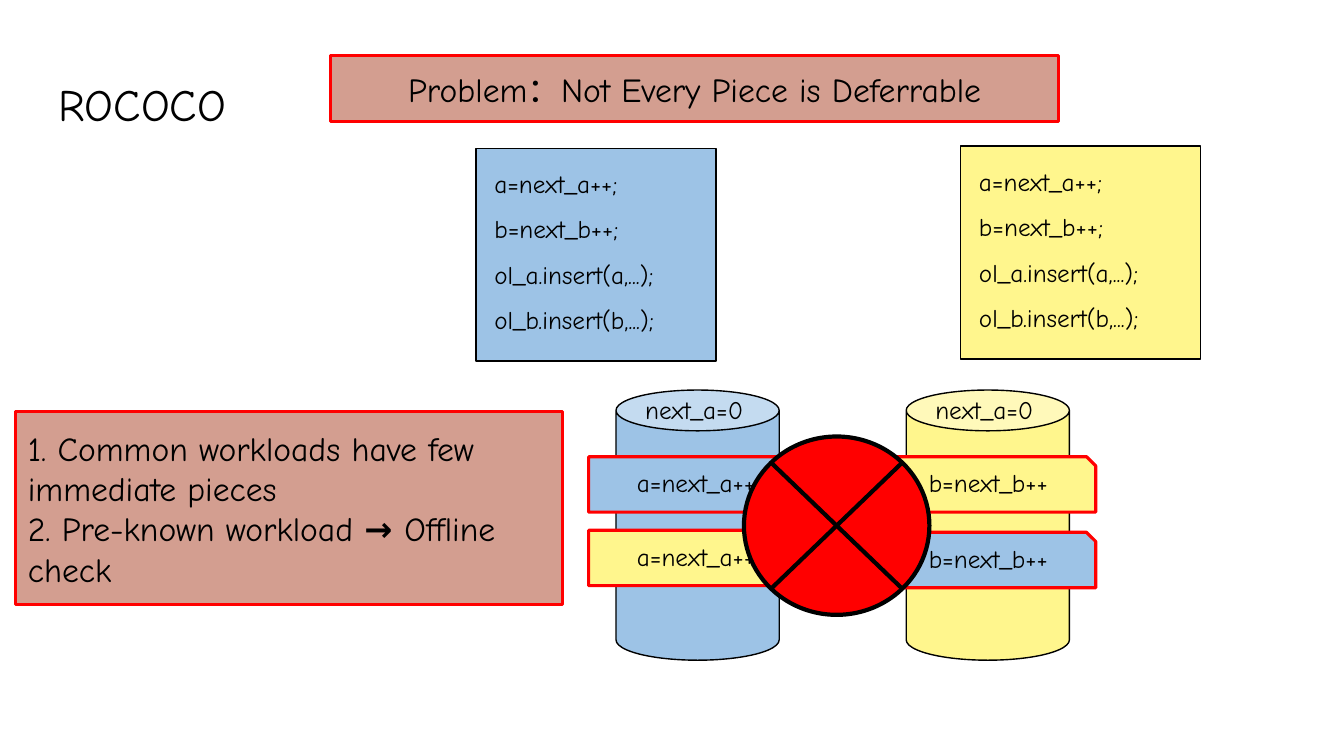
from pptx import Presentation
from pptx.dml.color import RGBColor
from pptx.enum.shapes import MSO_SHAPE
from pptx.enum.text import MSO_ANCHOR, MSO_AUTO_SIZE, PP_ALIGN
from pptx.util import Pt

RECT, CAN = MSO_SHAPE.RECTANGLE, MSO_SHAPE.CAN
SNIP = MSO_SHAPE.SNIP_1_RECTANGLE
JUNCTION = MSO_SHAPE.FLOWCHART_SUMMING_JUNCTION
TOP, MIDDLE = MSO_ANCHOR.TOP, MSO_ANCHOR.MIDDLE
LEFT, CENTER = PP_ALIGN.LEFT, PP_ALIGN.CENTER
GROW = MSO_AUTO_SIZE.SHAPE_TO_FIT_TEXT

FONT = "Comic Neue"
COLORS = {"blue": "9DC3E6", "yellow": "FFF68D", "red": "FF0000",
          "clay": "D39E90", "black": "000000"}
WIDE_INSET = 9.14
LABEL_HEIGHT = 28.8
CODE = ["a=next_a++;", "b=next_b++;", "ol_a.insert(a,...);", "ol_b.insert(b,...);"]


def color(name):
    return RGBColor.from_string(COLORS[name])


def write(shape, paragraphs, size=18, align=LEFT, anchor=TOP, spacing=None, inset=None):
    """Fill a shape with paragraphs; each is a string or a list of (text, bold)."""
    frame = shape.text_frame
    frame.word_wrap = True
    frame.vertical_anchor = anchor
    if inset is not None:
        frame.margin_left = frame.margin_right = Pt(inset)
        frame.margin_top = frame.margin_bottom = Pt(inset)
    for index, content in enumerate(paragraphs):
        para = frame.paragraphs[0] if index == 0 else frame.add_paragraph()
        para.alignment = align
        if spacing:
            para.line_spacing = spacing
        spans = [(content, False)] if isinstance(content, str) else content
        for text, bold in spans:
            span = para.add_run()
            span.text = text
            span.font.name, span.font.size, span.font.bold = FONT, Pt(size), bold
            span.font.color.rgb = color("black")


def add_block(shapes, kind, box, fill, line="black", width=1):
    shape = shapes.add_shape(kind, *map(Pt, box))
    shape.shadow.inherit = False
    shape.fill.solid()
    shape.fill.fore_color.rgb = color(fill)
    shape.line.color.rgb = color(line)
    shape.line.width = Pt(width)
    return shape


def add_label(shapes, box, paragraphs, **text_format):
    label = shapes.add_textbox(*map(Pt, box))
    write(label, paragraphs, **text_format)
    return label


def add_code_card(page, box, fill):
    left, top, width, height = box
    parts = page.shapes.add_group_shape().shapes
    add_block(parts, RECT, box, fill)
    label = add_label(parts, (left + 6, top, width - 12, height - 14), CODE, spacing=1.5)
    label.text_frame.auto_size = GROW


def add_store(page, box, fill):
    left, top, width, height = box
    parts = page.shapes.add_group_shape().shapes
    add_block(parts, CAN, box, fill)
    label = add_label(parts, (left + 13.7, top - 0.7, 100, LABEL_HEIGHT), ["next_a=0"])
    label.text_frame.auto_size = GROW


def add_piece(page, box, fill, text):
    left, top, width, height = box
    parts = page.shapes.add_group_shape().shapes
    add_block(parts, SNIP, box, fill, "red", 2.25)
    label = add_label(parts, (left, top + 4.3, width, LABEL_HEIGHT), [text], align=CENTER)
    label.text_frame.auto_size = GROW


def add_callout(page, box, paragraphs, align=LEFT):
    shape = add_block(page.shapes, RECT, box, "clay", "red", 2.25)
    write(shape, paragraphs, size=24, align=align, anchor=MIDDLE, inset=WIDE_INSET)


def build_slide(deck):
    page = deck.slides.add_slide(deck.slide_layouts[6])

    # Title
    add_label(page.shapes, (32.4, 46.1, 169.2, 60.5), ["ROCOCO"], size=32,
              anchor=MIDDLE, spacing=0.9, inset=WIDE_INSET)

    # Transactions
    add_code_card(page, (340, 106, 171.4, 152), "blue")
    add_code_card(page, (686.2, 104.4, 171.4, 152), "yellow")

    # Stores with the pieces queued on them
    for fill, other, store_left, piece_left, second_top, text in [
            ("blue", "yellow", 440, 420.5, 378.7, "a=next_a++"),
            ("yellow", "blue", 647.3, 629.3, 380.2, "b=next_b++")]:
        add_store(page, (store_left, 278.6, 116.6, 193), fill)
        add_piece(page, (piece_left, 326.2, 153.4, 39.6), fill, text)
        add_piece(page, (piece_left, second_top, 153.4, 39.6), other, text)

    # Conflict mark
    add_block(page.shapes, JUNCTION, (531.4, 311.8, 132.5, 127.4), "red", width=3)

    # Callouts
    add_callout(page, (10.8, 293.8, 391, 138.2), [
        "1. Common workloads have few immediate pieces",
        [("2. Pre-known workload ", False), ("→ ", True), ("Offline check", False)]])
    add_callout(page, (236.2, 39.6, 519.8, 47.5),
                ["Problem：Not Every Piece is Deferrable"], align=CENTER)


def main():
    deck = Presentation()
    deck.slide_width, deck.slide_height = Pt(960), Pt(540)
    build_slide(deck)
    deck.save("out.pptx")


if __name__ == "__main__":
    main()
